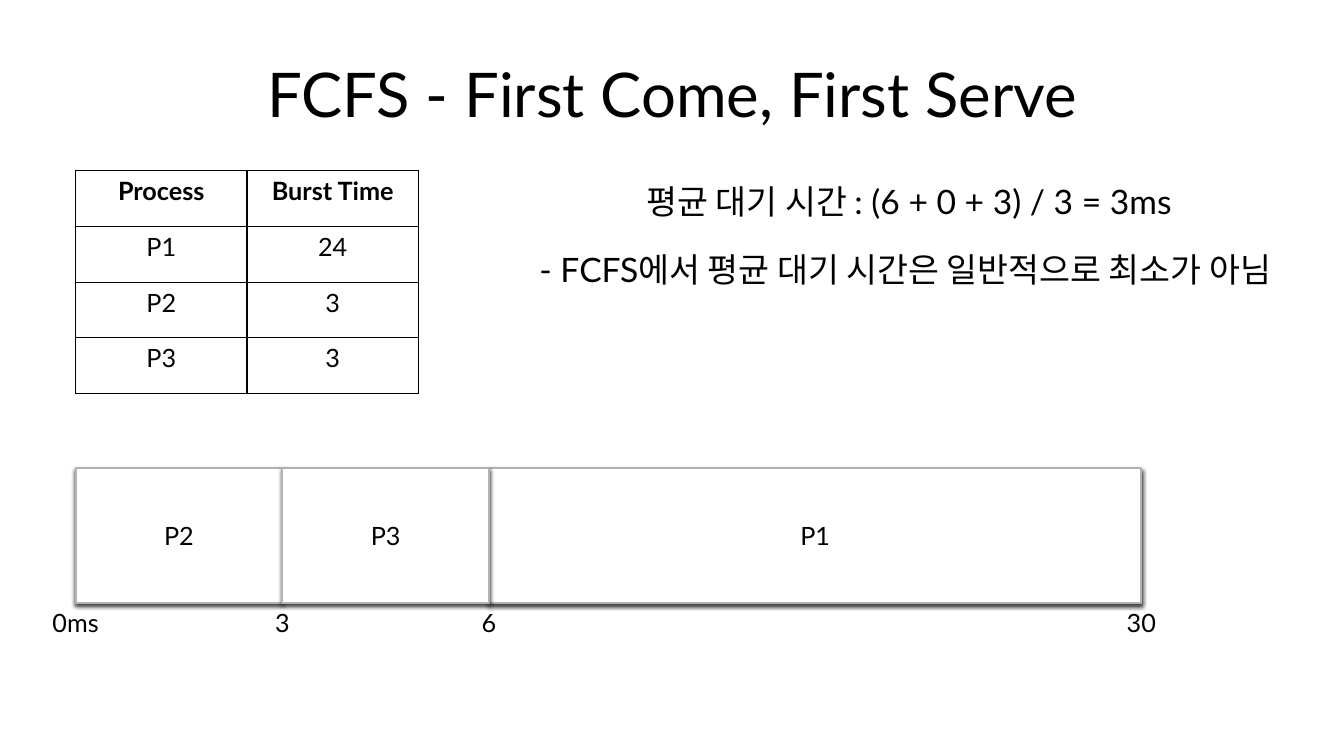
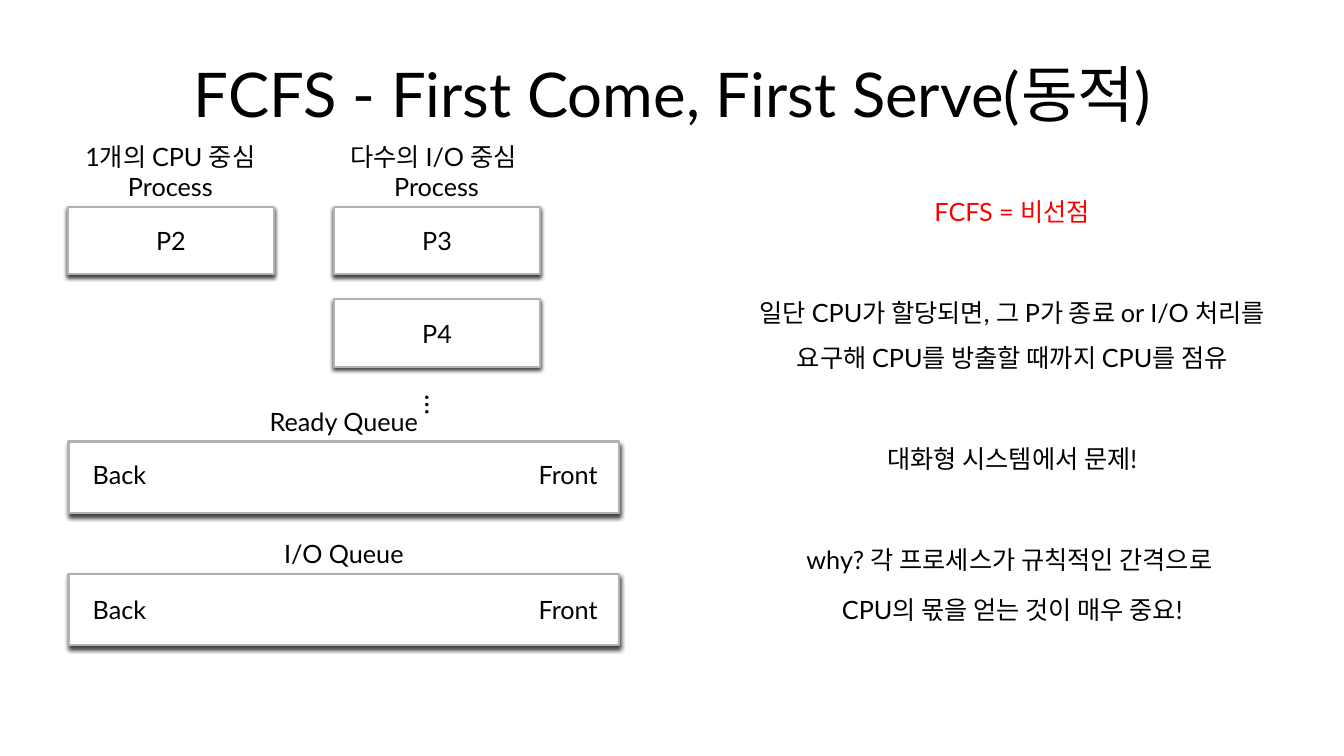
from dataclasses import dataclass
from itertools import accumulate

from lxml.etree import SubElement
from pptx import Presentation
from pptx.dml.color import RGBColor
from pptx.enum.shapes import MSO_SHAPE
from pptx.enum.text import MSO_ANCHOR, MSO_AUTO_SIZE, PP_ALIGN
from pptx.oxml.ns import qn
from pptx.util import Inches, Pt


@dataclass(frozen=True)
class Theme:
    font: str = "Lato"
    ink: RGBColor = RGBColor(0, 0, 0)
    accent: RGBColor = RGBColor(0xFF, 0, 0)
    paper: RGBColor = RGBColor(0xFF, 0xFF, 0xFF)
    outline: RGBColor = RGBColor(0xB2, 0xB2, 0xB2)
    title: float = 44
    lead: float = 24
    dots: float = 20
    text: float = 18


THEME = Theme()

# Content of the waiting time slide
WAITING_TITLE = "FCFS - First Come, First Serve"
BURSTS = [("Process", "Burst Time"), ("P1", "24"), ("P2", "3"), ("P3", "3")]
WAITING_NOTES = [
    "평균 대기 시간 : (6 + 0 + 3) / 3 = 3ms",
    "- FCFS에서 평균 대기 시간은 일반적으로 최소가 아님 ",
]
SCHEDULE = [("P2", 3, 2.05), ("P3", 3, 2.05), ("P1", 24, 6.47)]  # name, ms, width

# Content of the dynamic slide
DYNAMIC_TITLE = "FCFS - First Come, First Serve(동적)"
PROCESS_GROUPS = [  # left, heading lines, processes
    (0.67, ["1개의 CPU 중심 Process"], ["P2"]),
    (3.31, ["다수의 I/O 중심 ", "Process"], ["P3", "P4"]),
]
QUEUES = [("Ready Queue", 4.38, 4.51), ("I/O Queue", 5.69, 5.85)]  # name, top, label top
DYNAMIC_NOTES = [  # each block is set apart from the one before
    ["FCFS = 비선점"],
    ["일단 CPU가 할당되면, 그 P가 종료 or I/O 처리를 요구해 CPU를 방출할 때까지 CPU를 점유"],
    ["대화형 시스템에서 문제!"],
    ["why? 각 프로세스가 규칙적인 간격으로 ", "CPU의 몫을 얻는 것이 매우 중요!"],
]

# Shared sizes in inches
LABEL_WIDTH, LABEL_HEIGHT = 1.01, 0.4
PROCESS_WIDTH, PROCESS_HEIGHT, PROCESS_STEP = 2.05, 0.67, 0.92


def style(paragraph, size, color=THEME.ink, bold=False):
    paragraph.alignment = PP_ALIGN.CENTER
    font = paragraph.font
    font.name, font.size, font.bold = THEME.font, Pt(size), bold
    font.color.rgb = color


def add_text(slide, lines, left, top, width, height, size=THEME.text, grow=True):
    box = slide.shapes.add_textbox(*map(Inches, (left, top, width, height)))
    frame = box.text_frame
    frame.word_wrap = True
    frame.auto_size = MSO_AUTO_SIZE.SHAPE_TO_FIT_TEXT if grow else MSO_AUTO_SIZE.NONE
    frame.text = "\n".join(lines)
    for paragraph in frame.paragraphs:
        style(paragraph, size)
    return box


def add_notes(slide, blocks, left, top, width, height, size):
    lines = [line for block in blocks for line in block]
    box = add_text(slide, lines, left, top, width, height, size, grow=False)
    starts = set(accumulate(len(block) for block in blocks))
    for index, paragraph in enumerate(box.text_frame.paragraphs):
        paragraph.line_spacing = 1.5
        # A new block leaves one more line of room
        paragraph.space_before = Pt(size * (2.2 if index in starts else 0.2))
    return box


def add_box(slide, left, top, width, height, text=""):
    box = slide.shapes.add_shape(MSO_SHAPE.RECTANGLE, *map(Inches, (left, top, width, height)))
    box.fill.solid()
    box.fill.fore_color.rgb = THEME.paper
    box.line.color.rgb = THEME.outline
    box.line.width = Pt(1.5)
    box.shadow.inherit = False
    effects = box.element.spPr.find(qn("a:effectLst"))
    shadow = SubElement(effects, qn("a:outerShdw"), blurRad=str(Pt(3)), dist=str(Pt(2)),
                        dir="5400000", algn="ctr", rotWithShape="0")
    color = SubElement(shadow, qn("a:srgbClr"), val=str(THEME.ink))
    SubElement(color, qn("a:alpha"), val="75000")
    if text:
        box.text_frame.text = text
        box.text_frame.vertical_anchor = MSO_ANCHOR.MIDDLE
        style(box.text_frame.paragraphs[0], THEME.text)


def set_borders(cell):
    properties = cell._tc.get_or_add_tcPr()
    for position, side in enumerate(("lnL", "lnR", "lnT", "lnB")):
        line = SubElement(properties, qn(f"a:{side}"), w=str(Pt(1)))
        fill = SubElement(line, qn("a:solidFill"))
        SubElement(fill, qn("a:srgbClr"), val=str(THEME.ink))
        properties.insert(position, line)  # borders come before the fill


def add_burst_table(slide):
    table = slide.shapes.add_table(len(BURSTS), 2, Inches(0.75), Inches(1.69),
                                   Inches(3.4), Inches(2.2)).table
    for column in table.columns:
        column.width = Inches(1.7)
    for row_index, values in enumerate(BURSTS):
        table.rows[row_index].height = Inches(0.55 if row_index else 0.56)
        for column_index, value in enumerate(values):
            cell = table.cell(row_index, column_index)
            cell.text = value
            style(cell.text_frame.paragraphs[0], THEME.text, bold=row_index == 0)
            cell.fill.solid()
            cell.fill.fore_color.rgb = THEME.paper
            set_borders(cell)


def add_slide(presentation, title):
    slide = presentation.slides.add_slide(presentation.slide_layouts[6])
    box = add_text(slide, [title], 0.67, 0.3, 12, 1.25, THEME.title, grow=False)
    box.text_frame.vertical_anchor = MSO_ANCHOR.MIDDLE
    return slide


def build_waiting_slide(presentation):
    slide = add_slide(presentation, WAITING_TITLE)
    add_notes(slide, [WAITING_NOTES], 5.14, 1.55, 7.75, 2.34, THEME.lead)
    add_burst_table(slide)

    # Timeline: the last bar lies behind the others
    edges = list(accumulate((width for _, _, width in SCHEDULE), initial=0.75))
    bars = [(edge, width, name) for edge, (name, _, width) in zip(edges, SCHEDULE)]
    for left, width, name in bars[-1:] + bars[:-1]:
        add_box(slide, left, 4.64, width, 1.34, name)
    times = accumulate((duration for _, duration, _ in SCHEDULE), initial=0)
    for edge, time in zip(edges, times):
        add_text(slide, [str(time) if time else "0ms"], edge - LABEL_WIDTH / 2, 5.98,
                 LABEL_WIDTH, LABEL_HEIGHT)


def build_dynamic_slide(presentation):
    slide = add_slide(presentation, DYNAMIC_TITLE)

    # Process groups
    for left, heading, processes in PROCESS_GROUPS:
        add_text(slide, heading, left - 0.2, 1.35, 2.44, 0.7)
        for index, name in enumerate(processes):
            add_box(slide, left, 2.05 + index * PROCESS_STEP, PROCESS_WIDTH, PROCESS_HEIGHT, name)
    dots = add_text(slide, ["…"], 3.96, 3.8, 0.74, 0.43, THEME.dots)
    dots.rotation = 90

    # Queues
    for name, top, label_top in QUEUES:
        add_box(slide, 0.68, top, 5.46, 0.71)
        add_text(slide, [name], 2.4, top - LABEL_HEIGHT, 2.02, LABEL_HEIGHT)
        for label, left in (("Back", 0.68), ("Front", 5.13)):
            add_text(slide, [label], left, label_top, LABEL_WIDTH, LABEL_HEIGHT)

    # Notes
    notes = add_notes(slide, DYNAMIC_NOTES, 7.41, 1.75, 5.26, 5.25, THEME.text)
    notes.text_frame.paragraphs[0].font.color.rgb = THEME.accent


def main():
    presentation = Presentation()
    presentation.slide_width, presentation.slide_height = Inches(13.33), Inches(7.5)
    build_waiting_slide(presentation)
    build_dynamic_slide(presentation)
    presentation.save("out.pptx")


if __name__ == "__main__":
    main()
